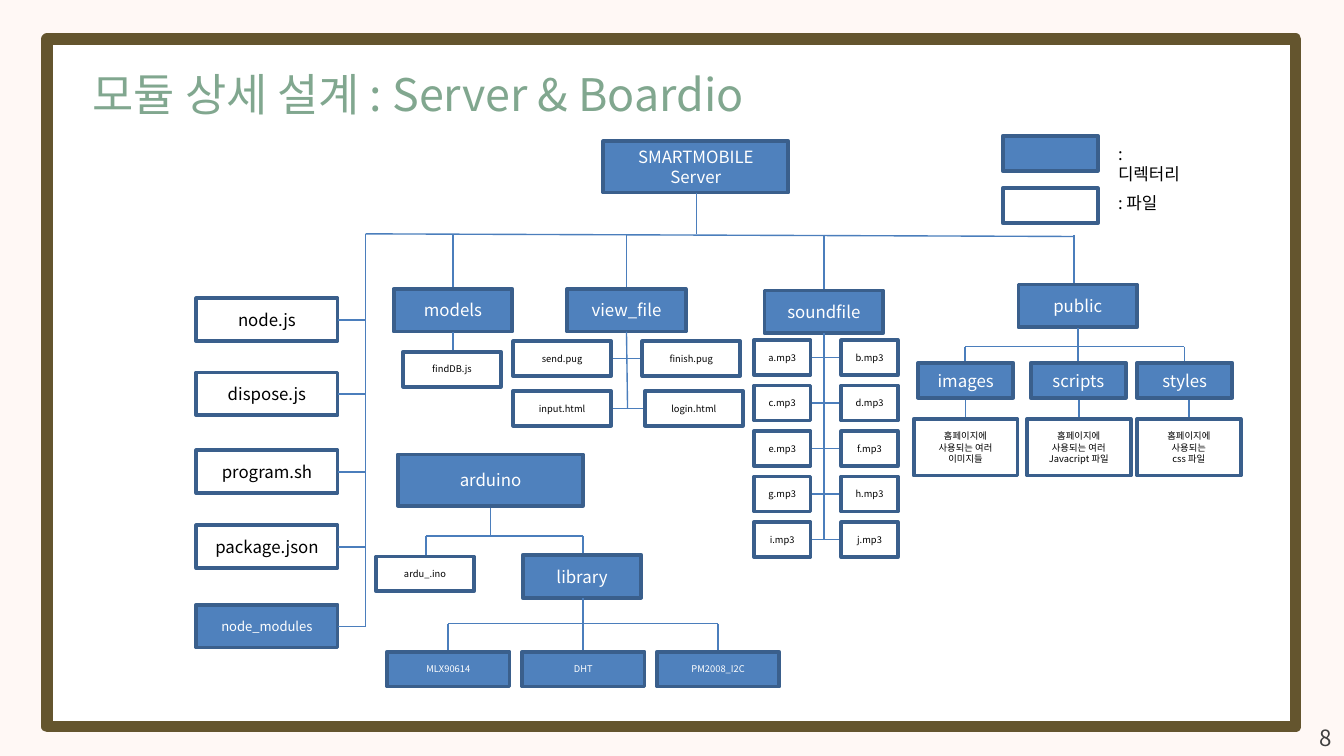
from dataclasses import dataclass
from lxml import etree
from pptx import Presentation
from pptx.dml.color import RGBColor as RGB
from pptx.enum.shapes import MSO_CONNECTOR as CONN, MSO_SHAPE as SHAPE
from pptx.enum.text import MSO_ANCHOR as ANCHOR, PP_ALIGN as ALIGN
from pptx.oxml.ns import qn
from pptx.util import Cm, Pt


@dataclass(frozen=True)
class Theme:
    font: str = "Noto Sans CJK KR"
    page: str = "FFF8F5"
    frame: str = "64552E"
    title: str = "81A78F"
    number: str = "404040"
    white: str = "FFFFFF"
    black: str = "000000"
    folder: str = "4F81BD"
    border: str = "3A5F8C"
    link: str = "4B7EBC"
    heading: float = 24
    footer: float = 12
    body: float = 9
    small: float = 7
    tiny: float = 5


ROOT = (3.5, 0.97)
SIDE = (2.67, 0.81)
FOLDER = (2.24, 0.81)
SUB = (1.8, 0.66)
FILE = (1.85, 0.66)
CLIP = (1.07, 0.66)
NOTE = (1.96, 1.07)
LIBRARY = (2.31, 0.66)


def write(tf, text, *, font, size, color, align=ALIGN.LEFT, anchor=ANCHOR.TOP):
    tf.word_wrap = True
    tf.vertical_anchor = anchor
    for i, line in enumerate(text.split("\n")):
        p = tf.paragraphs[0] if i == 0 else tf.add_paragraph()
        p.alignment = align
        r = p.add_run()
        r.text = line
        r.font.name = font
        r.font.size = Pt(size)
        r.font.color.rgb = RGB.from_string(color)
        etree.SubElement(r.font._element, qn("a:ea")).set("typeface", font)


class Diagram:
    def __init__(self, slide, theme):
        self.s = slide
        self.t = theme
        fill = slide.background.fill
        fill.solid()
        fill.fore_color.rgb = RGB.from_string(theme.page)

    def rect(self, x, y, w, h, fill, line, weight):
        sp = self.s.shapes.add_shape(SHAPE.RECTANGLE, Cm(x), Cm(y), Cm(w), Cm(h))
        sp.shadow.inherit = False
        sp.fill.solid()
        sp.fill.fore_color.rgb = RGB.from_string(fill)
        sp.line.color.rgb = RGB.from_string(line)
        sp.line.width = Pt(weight)
        return sp

    def node(self, x, y, kind, text="", size=None, folder=True):
        t = self.t
        sp = self.rect(x, y, *kind, t.folder if folder else t.white, t.border, 2)
        if text:
            write(sp.text_frame, text, font=t.font, size=size or t.body,
                  color=t.white if folder else t.black,
                  align=ALIGN.CENTER, anchor=ANCHOR.MIDDLE)

    def file(self, x, y, text, kind=FILE, size=None):
        self.node(x, y, kind, text, size or self.t.tiny, folder=False)

    def label(self, x, y, w, h, text, size, color, align=ALIGN.LEFT):
        tb = self.s.shapes.add_textbox(Cm(x), Cm(y), Cm(w), Cm(h))
        write(tb.text_frame, text, font=self.t.font, size=size, color=color, align=align)

    def line(self, x1, y1, x2, y2):
        c = self.s.shapes.add_connector(CONN.STRAIGHT, Cm(x1), Cm(y1), Cm(x2), Cm(y2))
        c.line.color.rgb = RGB.from_string(self.t.link)
        c.line.width = Pt(0.75)
        etree.SubElement(c._element.spPr, qn("a:effectLst"))

    def fork(self, trunk, top, bar, branches, bottom):
        self.line(trunk, top, trunk, bar)
        self.line(branches[0], bar, branches[-1], bar)
        for x in branches:
            self.line(x, bar, x, bottom)


def draw_server(d):
    t = d.t
    bar = 4.42
    d.node(11.4, 2.67, ROOT, "SMARTMOBILE Server")
    d.line(13.16, 3.64, 13.16, bar)
    d.line(6.91, bar, 20.29, 4.47)
    d.line(6.91, bar, 6.91, 11.84)

    for name, y in (("node.js", 5.64), ("dispose.js", 7.04), ("program.sh", 8.51),
                    ("package.json", 9.93)):
        d.file(3.71, y, name, SIDE, t.body)
        d.line(6.38, y + 0.41, 6.91, y + 0.41)
    d.node(3.71, 11.43, SIDE, "node_modules", t.small)
    d.line(6.38, 11.84, 6.91, 11.84)

    for name, x, y, drop in (("models", 7.44, 5.46, 8.56), ("view_file", 10.72, 5.46, 11.84),
                             ("soundfile", 14.45, 5.49, 15.57), ("public", 19.25, 5.38, 20.3)):
        d.line(drop, bar + 0.02, drop, y)
        d.node(x, y, FOLDER, name)


def draw_files(d):
    d.line(8.56, 6.27, 8.56, 6.65)
    d.file(7.62, 6.65, "findDB.js")

    d.line(11.84, 6.27, 11.86, 7.72)
    for y, left, right, x in ((6.45, "send.pug", "finish.pug", 12.14),
                              (7.39, "input.html", "login.html", 12.19)):
        d.line(11.53, y + 0.33, x, y + 0.33)
        d.file(9.7, y, left)
        d.file(x, y, right)

    d.line(15.57, 6.3, 15.57, 10.2)
    for i, (left, right) in enumerate(("ab", "cd", "ef", "gh", "ij")):
        y = 6.43 + 0.86 * i
        d.line(15.32, y + 0.33, 15.9, y + 0.33)
        d.file(14.25, y, f"{left}.mp3", CLIP)
        d.file(15.9, y, f"{right}.mp3", CLIP)


def draw_public(d):
    d.fork(20.37, 6.2, 6.55, (18.24, 20.37, 22.38), 6.86)
    for name, x, note_x, note in (
            ("images", 17.35, 17.27, "홈페이지에\n사용되는 여러\n이미지들"),
            ("scripts", 19.48, 19.41, "홈페이지에\n사용되는 여러\nJavacript 파일"),
            ("styles", 21.49, 21.49, "홈페이지에\n사용되는\ncss 파일")):
        center = note_x + NOTE[0] / 2
        d.line(center, 7.52, center, 7.92)
        d.node(x, 6.86, SUB, name)
        d.file(note_x, 7.92, note, NOTE)


def draw_board(d):
    d.fork(9.27, 9.55, 10.13, (8.05, 11.02), 10.52)
    d.node(7.52, 8.59, ROOT, "arduino")
    d.file(7.11, 10.52, "ardu_.ino")
    d.node(9.88, 10.49, FOLDER, "library")
    d.fork(11.02, 11.3, 11.79, (8.47, 11.02, 13.57), 12.32)
    for i, name in enumerate(("MLX90614", "DHT", "PM2008_I2C")):
        d.node(7.32 + 2.55 * i, 12.32, LIBRARY, name, d.t.tiny)


def draw_legend(d):
    t = d.t
    d.node(18.95, 2.57, SUB)
    d.node(18.95, 3.56, SUB, folder=False)
    d.label(20.88, 2.59, 1.75, 0.56, ": 디렉터리", t.body, t.black)
    d.label(20.88, 3.51, 1.75, 0.64, ": 파일", t.body, t.black)


def main():
    prs = Presentation()
    prs.slide_width, prs.slide_height = Cm(25.4), Cm(14.29)
    t = Theme()
    d = Diagram(prs.slides.add_slide(prs.slide_layouts[6]), t)
    d.rect(0.89, 0.74, 23.6, 13, t.white, t.frame, 6)
    d.label(1.5, 1.14, 14.71, 1.27, "모듈 상세 설계 : Server & Boardio", t.heading, t.title)
    d.label(24.66, 13.56, 0.79, 0.76, "8", t.footer, t.number, ALIGN.CENTER)
    draw_server(d)
    draw_files(d)
    draw_public(d)
    draw_board(d)
    draw_legend(d)
    prs.save("out.pptx")


if __name__ == "__main__":
    main()
